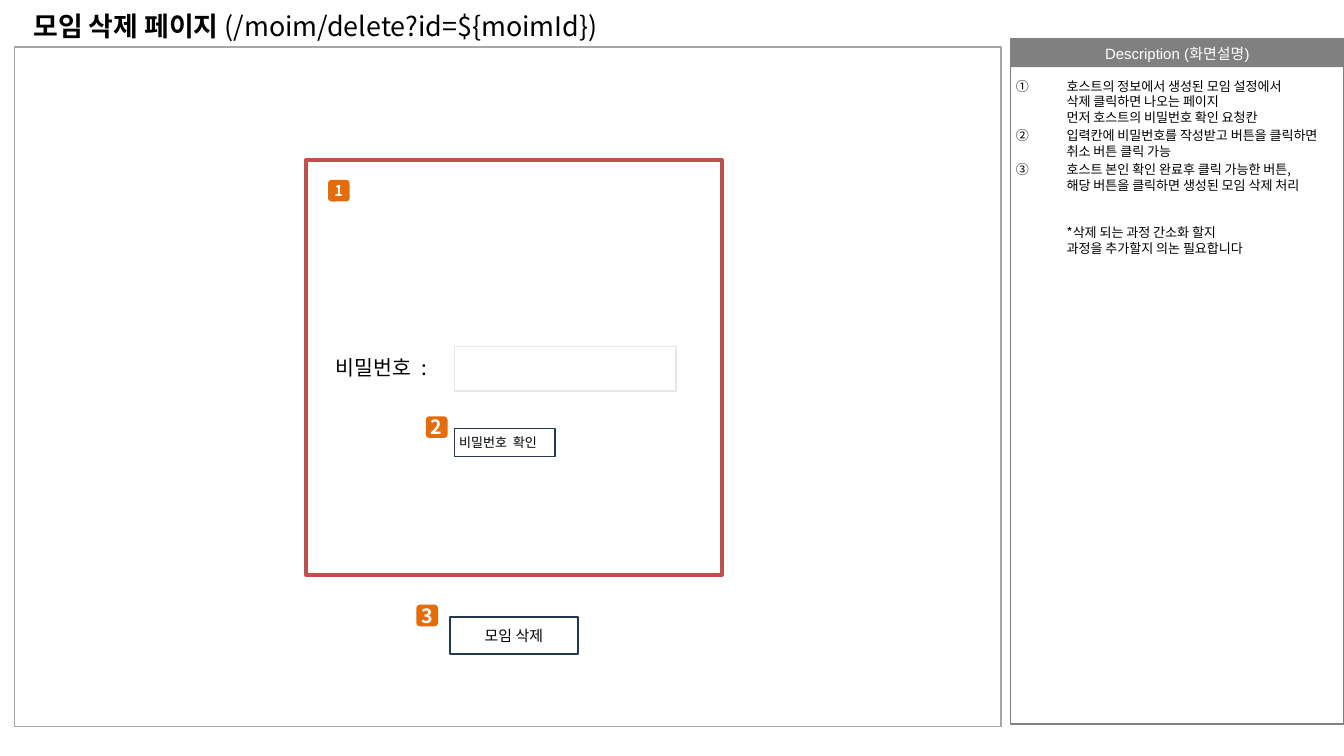
"""Builds the wireframe slide for the group deletion page."""
import lxml.etree
import pptx
import pptx.dml.color
import pptx.enum.shapes
import pptx.enum.text
import pptx.oxml.ns
import pptx.util

Cm, Pt = pptx.util.Cm, pptx.util.Pt
SHAPE = pptx.enum.shapes.MSO_SHAPE
ALIGN = pptx.enum.text.PP_ALIGN
ANCHOR = pptx.enum.text.MSO_ANCHOR
qn = pptx.oxml.ns.qn

THEME = {
    "font": "Noto Sans CJK KR", "header_font": "Arial",
    "text": "000000", "white": "FFFFFF", "header": "808080", "frame": "A6A6A6",
    "panel": "C0504D", "badge": "E46C0A", "button": "233953", "field": "E7E7E7",
    "title_size": 14.4, "label_size": 11, "badge_size": 10.5,
    "body_size": 7, "small_size": 8, "body_pitch": 8.4,
}

TITLE = ("모임 삭제 페이지 ", "(/moim/delete?id=${moimId})")
HEADER = "Description (화면설명)"
DESCRIPTIONS = [
    "호스트의 정보에서 생성된 모임 설정에서\v삭제 클릭하면 나오는 페이지 \v먼저 호스트의 비밀번호 확인 요청칸",
    "입력칸에 비밀번호를 작성받고 버튼을 클릭하면 취소 버튼 클릭 가능",
    "호스트 본인 확인 완료후 클릭 가능한 버튼, \v해당 버튼을 클릭하면 생성된 모임 삭제 처리",
]
NOTE = "*삭제 되는 과정 간소화 할지 \v과정을 추가할지 의논 필요합니다"
LABEL = "비밀번호  :"

SLIDE_SIZE = (25.4, 14.29)
TITLE_BOX = (0.38, 0.08, 18.39, 0.81)
SIDE_LEFT, SIDE_TOP, SIDE_WIDTH = 19.1, 0.74, 6.3
HEADER_HEIGHT, SIDE_HEIGHT = 0.53, 12.95
BODY_TOP, BODY_HEIGHT, BODY_INDENT = 1.35, 12.4, 0.96
LABEL_BOX = (6.1, 6.58, 2.39, 0.74)
BADGE_SIDE = 0.41
OUTLINES = [
    ((SIDE_LEFT, SIDE_TOP, SIDE_WIDTH, SIDE_HEIGHT), "header", 0.75),
    ((0.28, 0.89, 18.64, 12.85), "frame", 0.75),
    ((5.79, 3.02, 7.85, 7.85), "panel", 2),
    ((8.59, 6.55, 4.19, 0.84), "field", 1),
]
BUTTONS = [
    ("비밀번호  확인", (8.59, 8.1, 1.9, 0.53), "body_size", ALIGN.LEFT),
    ("모임 삭제", (8.51, 11.66, 2.41, 0.71), "small_size", ALIGN.CENTER),
]
BADGES = [
    ("1", 6.2, 3.4, "small_size"),
    ("2", 8.05, 7.87, "badge_size"),
    ("3", 7.87, 11.43, "badge_size"),
]


def color(name):
    return pptx.dml.color.RGBColor.from_string(THEME[name])


def set_frame(frame, insets, anchor=ANCHOR.MIDDLE):
    frame.word_wrap = True
    frame.auto_size = pptx.enum.text.MSO_AUTO_SIZE.NONE
    frame.vertical_anchor = anchor
    sides = ("margin_left", "margin_top", "margin_right", "margin_bottom")
    for side, inset in zip(sides, insets):
        setattr(frame, side, Cm(inset))


def style(para, size, ink="text", align=ALIGN.LEFT, bold=False, font="font"):
    para.alignment = align
    para.font.name = THEME[font]
    para.font.size = Pt(THEME[size])
    para.font.bold = bold
    para.font.color.rgb = color(ink)
    properties = para._p.pPr.find(qn("a:defRPr"))
    lxml.etree.SubElement(properties, qn("a:ea"), typeface=THEME["font"])


def add_box(page, place, fill=None, line=None, weight=1, kind=SHAPE.RECTANGLE):
    box = page.shapes.add_shape(kind, *map(Cm, place))
    box.shadow.inherit = False
    if fill:
        box.fill.solid()
        box.fill.fore_color.rgb = color(fill)
    else:
        box.fill.background()
    if line:
        box.line.color.rgb = color(line)
        box.line.width = Pt(weight)
    else:
        box.line.fill.background()
    return box


def write(box, text, insets, *styling, **options):
    set_frame(box.text_frame, insets)
    para = box.text_frame.paragraphs[0]
    para.text = text
    style(para, *styling, **options)


def add_title(page):
    title = page.shapes.title
    title.left, title.top, title.width, title.height = map(Cm, TITLE_BOX)
    set_frame(title.text_frame, (0.25, 0, 0.25, 0))
    para = title.text_frame.paragraphs[0]
    style(para, "title_size")
    for text, bold in zip(TITLE, (True, False)):
        span = para.add_run()
        span.text = text
        span.font.bold = bold


def add_descriptions(page):
    place = (SIDE_LEFT, BODY_TOP, SIDE_WIDTH, BODY_HEIGHT)
    frame = page.shapes.add_textbox(*map(Cm, place)).text_frame
    set_frame(frame, (0.1, 0.13, 0, 0.13), ANCHOR.TOP)
    for index, text in enumerate(DESCRIPTIONS + [NOTE]):
        para = frame.add_paragraph() if index else frame.paragraphs[0]
        para.text = text
        numbered = index < len(DESCRIPTIONS)
        para.line_spacing = Pt(THEME["body_pitch"])
        para.space_before = Pt(1.4 if numbered else 2 * THEME["body_pitch"])
        properties = para._p.get_or_add_pPr()
        properties.set("marL", str(Cm(BODY_INDENT)))
        properties.set("indent", str(-Cm(BODY_INDENT) if numbered else 0))
        if numbered:
            lxml.etree.SubElement(properties, qn("a:buFont"), typeface=THEME["font"])
            lxml.etree.SubElement(properties, qn("a:buAutoNum"), type="circleNumDbPlain")
        style(para, "body_size")


def main():
    deck = pptx.Presentation()
    deck.slide_width, deck.slide_height = map(Cm, SLIDE_SIZE)
    page = deck.slides.add_slide(deck.slide_layouts[5])
    header = add_box(page, (SIDE_LEFT, SIDE_TOP, SIDE_WIDTH, HEADER_HEIGHT), "header")
    write(header, HEADER, (0.23, 0.1, 0.23, 0.1), "small_size", "white",
          ALIGN.CENTER, font="header_font")
    for place, line, weight in OUTLINES:
        add_box(page, place, line=line, weight=weight)
    add_title(page)
    add_descriptions(page)
    label = page.shapes.add_textbox(*map(Cm, LABEL_BOX))
    write(label, LABEL, (0.25, 0, 0, 0), "label_size")
    for text, place, size, align in BUTTONS:
        button = add_box(page, place, line="button")
        write(button, text, (0.09, 0, 0.09, 0), size, align=align)
    for text, left, top, size in BADGES:
        badge = add_box(page, (left, top, BADGE_SIDE, BADGE_SIDE), "badge",
                        kind=SHAPE.ROUNDED_RECTANGLE)
        write(badge, text, (0, 0, 0, 0), size, "white", ALIGN.CENTER, bold=True)
    deck.save("out.pptx")


if __name__ == "__main__":
    main()
